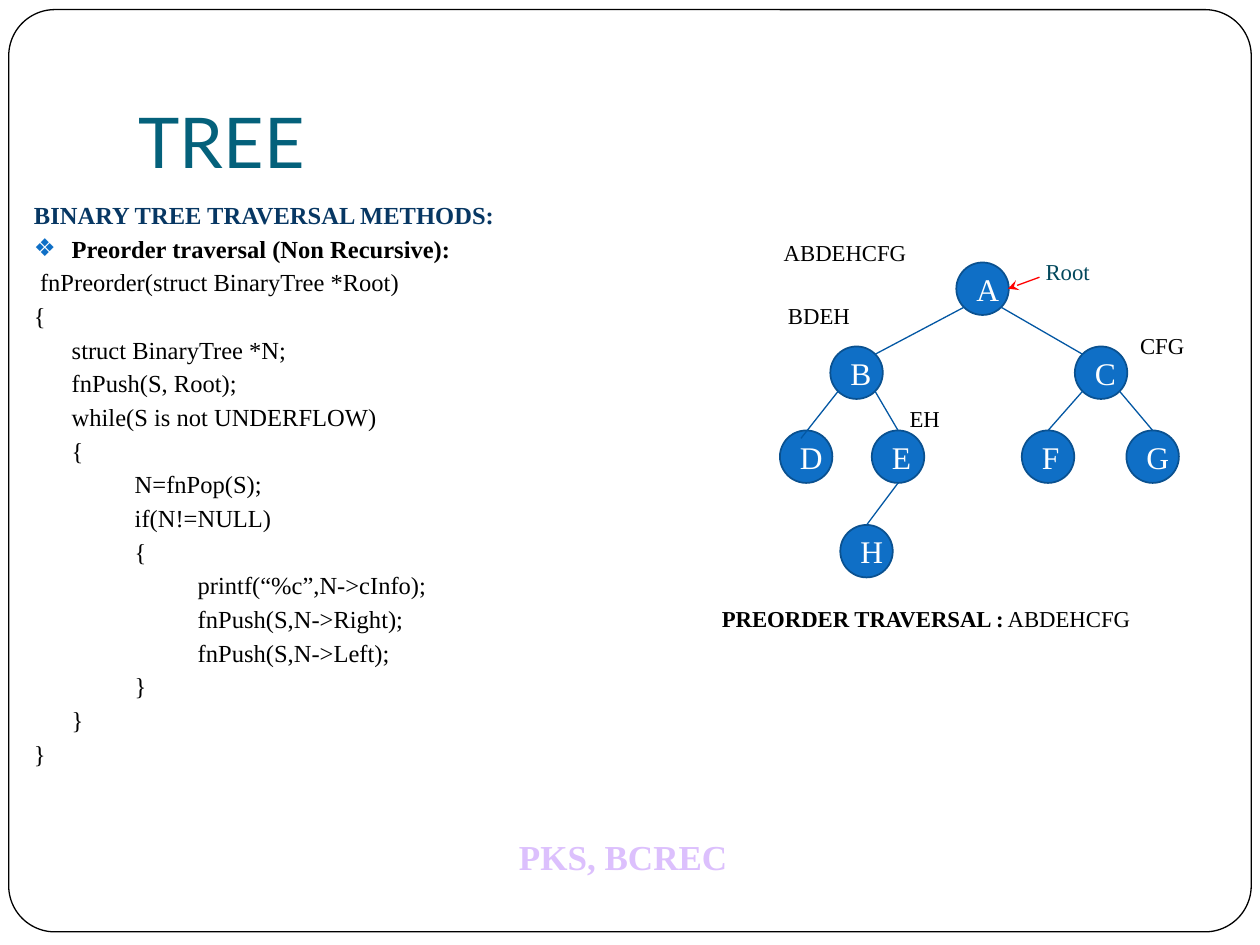
from pptx import Presentation
from pptx.dml.color import RGBColor
from pptx.enum.shapes import MSO_CONNECTOR, MSO_SHAPE
from pptx.enum.text import MSO_ANCHOR, MSO_AUTO_SIZE, PP_ALIGN
from pptx.oxml.ns import qn
from pptx.util import Pt
from lxml.etree import SubElement

# Content
TITLE = "TREE"
HEAD = "BINARY TREE TRAVERSAL METHODS:"
TOPIC = "Preorder traversal (Non Recursive):"
CODE = [
    " fnPreorder(struct BinaryTree *Root)",
    "{",
    "\tstruct BinaryTree *N;",
    "\tfnPush(S, Root);",
    "\twhile(S is not UNDERFLOW)",
    "\t{",
    "\t\tN=fnPop(S);",
    "\t\tif(N!=NULL)",
    "\t\t{",
    "\t\t\tprintf(“%c”,N->cInfo);",
    "\t\t\tfnPush(S,N->Right);",
    "\t\t\tfnPush(S,N->Left);",
    "\t\t}",
    "\t}",
    "}",
]
FOOTER = "PKS, BCREC"
# Node: left, top
NODES = {
    "A": (546.5, 150), "B": (474.5, 198), "C": (614.2, 198),
    "D": (445.7, 246), "E": (498.2, 246), "H": (480.2, 300),
    "F": (583.9, 246), "G": (643.7, 246),
}
# Points on a node, as parts of its size
SITES = {
    "top": (0.5, 0), "low": (0.5, 1), "sw": (0.15, 0.85), "se": (0.85, 0.85),
    "nw": (0.15, 0.15), "ne": (0.85, 0.15), "inner": (0.4, 0.15),
}
EDGES = [
    ("A", "sw", "B", "ne"), ("A", "se", "C", "nw"),
    ("B", "sw", "D", "inner"), ("B", "se", "E", "top"),
    ("E", "low", "H", "top"),
    ("C", "sw", "F", "top"), ("C", "se", "G", "top"),
]
# Label: left, top, width, colour, runs as (text, bold)
LABELS = [
    (590.4, 144, 48, "root", [("Root", False)]),
    (405.4, 342, 302, "ink", [("PREORDER TRAVERSAL :", True), (" ABDEHCFG", False)]),
    (644.4, 186, 52, "ink", [("CFG", False)]),
    (512.7, 228, 42, "ink", [("EH", False)]),
    (443.2, 169, 62, "ink", [("BDEH", False)]),
    (440.8, 133, 103, "ink", [("ABDEHCFG", False)]),
]

THEME = {
    "color": {
        "paper": "FFFFFF", "ink": "000000", "title": "04617B", "head": "073763",
        "node": "0F6FC6", "rim": "0A5190", "edge": "0357A3", "root": "02485C",
        "arrow": "FF0000", "foot": "DCC0FD",
    },
    "size": {"title": 40, "foot": 20, "node": 18, "body": 14, "label": 13},
    "serif": "Times New Roman",
    "sans": "Lato",
}
NODE = 30


def color(name):
    return RGBColor.from_string(THEME["color"][name])


def put(obj, **vals):
    for key, val in vals.items():
        setattr(obj, key, val)


def write(para, text, size, tint, bold=False, face="serif"):
    run = para.add_run()
    run.text = text
    put(run.font, name=THEME[face], size=Pt(THEME["size"][size]), bold=bold)
    run.font.color.rgb = color(tint)


def place(shape, left, top, width, height):
    put(shape, left=Pt(left), top=Pt(top), width=Pt(width), height=Pt(height))


def outline(line, tint, width):
    line.color.rgb = color(tint)
    line.width = Pt(width)


def add_shape(kind, box, fill, rim, width):
    shape = slide.shapes.add_shape(kind, *map(Pt, box))
    shape.shadow.inherit = False
    shape.fill.solid()
    shape.fill.fore_color.rgb = color(fill)
    outline(shape.line, rim, width)
    return shape


def add_line(start, end, tint):
    line = slide.shapes.add_connector(MSO_CONNECTOR.STRAIGHT, *map(Pt, start + end))
    outline(line.line, tint, 0.75)
    SubElement(line._element.spPr, qn("a:effectLst"))
    return line


def add_text(box):
    frame = slide.shapes.add_textbox(*map(Pt, box)).text_frame
    frame.word_wrap = True
    return frame.paragraphs[0]


def set_bullet(para, mark):
    props = para._p.get_or_add_pPr()
    props.set("marL", str(Pt(21.6)))
    props.set("indent", str(Pt(-21.6)))
    if mark:
        tint = SubElement(props, qn("a:buClr"))
        SubElement(tint, qn("a:srgbClr"), val=THEME["color"]["node"])
        SubElement(props, qn("a:buChar"), char=mark)
    else:
        SubElement(props, qn("a:buNone"))


def site(node, name):
    return tuple(at + NODE * part for at, part in zip(NODES[node], SITES[name]))


deck = Presentation()
put(deck, slide_width=Pt(720), slide_height=Pt(540))
slide = deck.slides.add_slide(deck.slide_layouts[1])

# Frame, behind everything
frame = add_shape(MSO_SHAPE.ROUNDED_RECTANGLE, (5, 5.5, 710, 527), "paper", "ink", 0.75)
frame.adjustments[0] = 0.05
slide.shapes._spTree.insert(2, frame._element)

# Footer
write(add_text((289.5, 474, 160.5, 32)), FOOTER, "foot", "foot", True)

# Title
title = slide.shapes.title
place(title, 72, 21.6, 612, 90)
put(title.text_frame, vertical_anchor=MSO_ANCHOR.BOTTOM, margin_bottom=Pt(7.2),
    auto_size=MSO_AUTO_SIZE.NONE)
para = title.text_frame.paragraphs[0]
para.alignment = PP_ALIGN.LEFT
write(para, TITLE, "title", "title", face="sans")

# Heading, topic and code
body = slide.placeholders[1]
place(body, 12.2, 113.8, 414, 396)
text = body.text_frame
text.auto_size = MSO_AUTO_SIZE.NONE
rows = [(HEAD, "head", True, None), (TOPIC, "ink", True, "❖")]
rows += [(line, "ink", False, None) for line in CODE]
for num, (line, tint, bold, mark) in enumerate(rows):
    para = text.add_paragraph() if num else text.paragraphs[0]
    put(para, line_spacing=0.8, space_before=Pt(5.8 if num else 0))
    set_bullet(para, mark)
    write(para, line, "body", tint, bold)

# Tree nodes
for name, spot in NODES.items():
    disc = add_shape(MSO_SHAPE.OVAL, (*spot, NODE, NODE), "node", "rim", 1)
    disc.text_frame.vertical_anchor = MSO_ANCHOR.MIDDLE
    para = disc.text_frame.paragraphs[0]
    para.alignment = PP_ALIGN.CENTER
    write(para, name, "node", "paper")

# Tree edges
for top, start, low, end in EDGES:
    add_line(site(top, start), site(low, end), "edge")

# Arrow to the root
arrow = add_line((594, 158.4), (576, 165), "arrow")
SubElement(arrow.line._get_or_add_ln(), qn("a:tailEnd"), type="stealth")

# Labels
for left, top, width, tint, runs in LABELS:
    para = add_text((left, top, width, 28.8))
    for words, bold in runs:
        write(para, words, "label", tint, bold)

deck.save("out.pptx")
